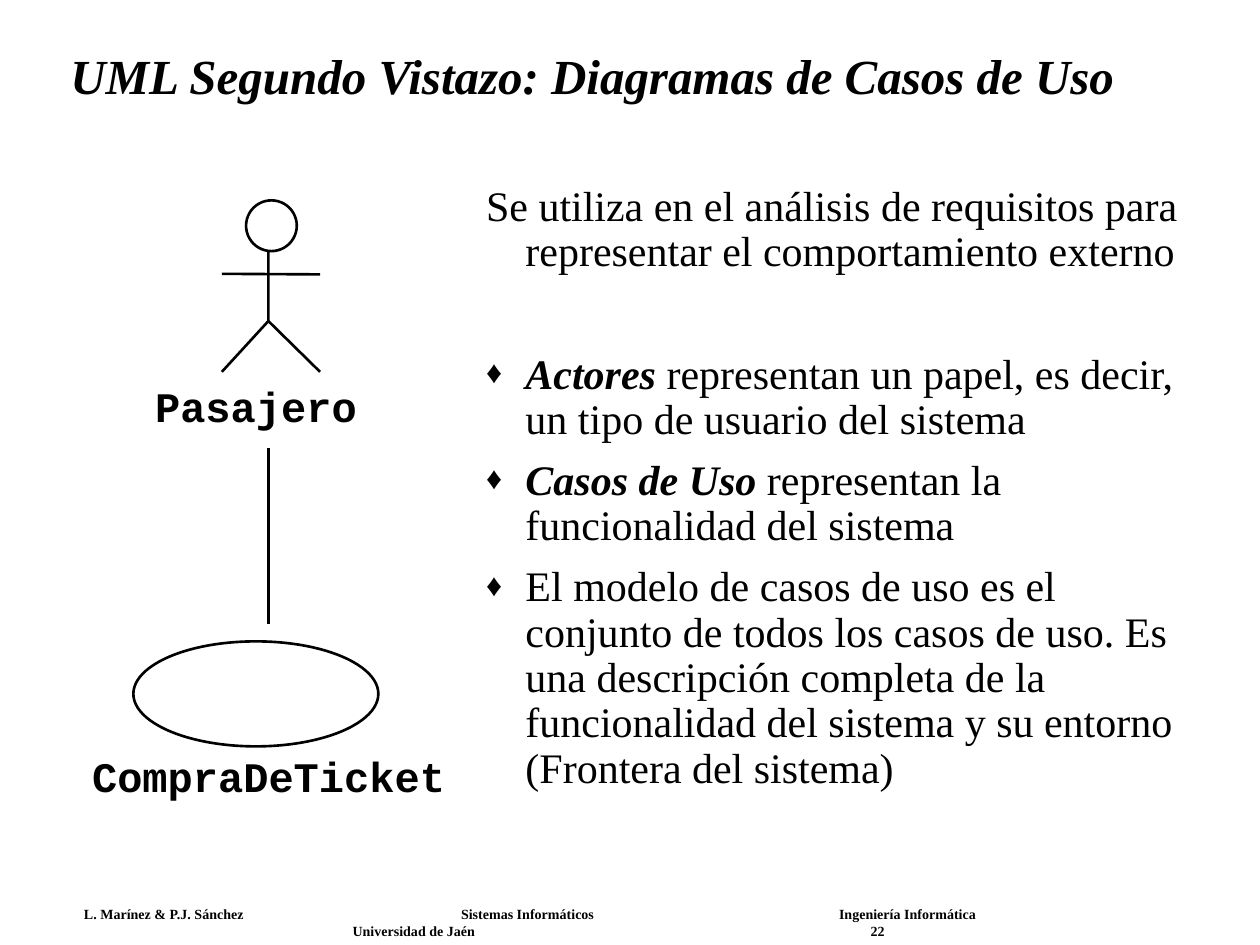
import pptx
import pptx.util
import pptx.dml.color
import pptx.enum.shapes
import pptx.enum.text
from dataclasses import dataclass
from lxml import etree
from pptx.oxml.ns import qn

Pt = pptx.util.Pt


@dataclass(frozen=True)
class Theme:
    ink: str = "000000"
    paper: str = "FFFFFF"
    serif: str = "Times New Roman"
    mono: str = "Courier New"
    title: float = 28
    body: float = 24
    footer: float = 8
    stroke: float = 1.5
    leading: float = 0.9
    label_height: float = 28.8


THEME = Theme()


def color(code):
    return pptx.dml.color.RGBColor.from_string(code)


def add_frame(page, box, insets=(0, 0), wrap=True):
    """Add a text box and return its text frame."""
    frame = page.shapes.add_textbox(*map(Pt, box)).text_frame
    frame.margin_left = frame.margin_right = Pt(insets[0])
    frame.margin_top = frame.margin_bottom = Pt(insets[1])
    frame.word_wrap = wrap
    return frame


def style(para, size, face=THEME.serif, bold=False, italic=False):
    font = para.font
    font.name, font.size, font.bold, font.italic = face, Pt(size), bold, italic
    font.color.rgb = color(THEME.ink)


def add_tabs(para, stops):
    tabs = etree.SubElement(para._p.get_or_add_pPr(), qn("a:tabLst"))
    for stop in stops:
        etree.SubElement(tabs, qn("a:tab"), pos=str(Pt(stop)), algn="l")


def add_hanging_bullet(para, indent, char=None):
    """Set a hanging indent, with a bullet when a character is given."""
    props = para._p.get_or_add_pPr()
    props.set("marL", str(Pt(indent)))
    props.set("indent", str(-Pt(indent)))
    if char is None:
        etree.SubElement(props, qn("a:buNone"))
        return
    tint = etree.SubElement(props, qn("a:buClr"))
    etree.SubElement(tint, qn("a:srgbClr"), val=THEME.ink)
    etree.SubElement(props, qn("a:buSzPct"), val="75000")
    etree.SubElement(props, qn("a:buFont"), typeface=THEME.serif)
    etree.SubElement(props, qn("a:buChar"), char=char)


def draw_stroke(shape):
    shape.line.color.rgb = color(THEME.ink)
    shape.line.width = Pt(THEME.stroke)


def add_line(page, start, end):
    line = page.shapes.add_connector(
        pptx.enum.shapes.MSO_CONNECTOR.STRAIGHT, *map(Pt, start + end))
    draw_stroke(line)
    etree.SubElement(line._element.spPr, qn("a:effectLst"))


def add_ellipse(page, box, fill=None):
    oval = page.shapes.add_shape(
        pptx.enum.shapes.MSO_SHAPE.OVAL, *map(Pt, box))
    oval.shadow.inherit = False
    if fill:
        oval.fill.solid()
        oval.fill.fore_color.rgb = color(fill)
    else:
        oval.fill.background()
    draw_stroke(oval)


def add_label(page, box, text):
    """Name along the bottom of the box."""
    left, top, width, height = box
    label_top = top + height - THEME.label_height
    frame = add_frame(
        page, (left, label_top, width, THEME.label_height), wrap=False)
    para = frame.paragraphs[0]
    para.alignment = pptx.enum.text.PP_ALIGN.LEFT
    para.text = text
    style(para, THEME.body, THEME.mono, bold=True)


def add_title(page, box, text):
    frame = add_frame(page, box, (7.2, 3.6))
    frame.vertical_anchor = pptx.enum.text.MSO_ANCHOR.MIDDLE
    para = frame.paragraphs[0]
    para.text = text
    para.line_spacing = THEME.leading
    style(para, THEME.title, bold=True, italic=True)


def add_body(page, box, intro, points):
    frame = add_frame(page, box, (7.2, 3.6))
    for index, (lead, rest) in enumerate([("", intro)] + points):
        para = frame.paragraphs[0] if index == 0 else frame.add_paragraph()
        add_hanging_bullet(para, 22.5, "♦" if index else None)
        para.line_spacing = THEME.leading
        if index:
            # The list stands one line apart from the introduction
            para.space_before = Pt(44 if index == 1 else 9)
        style(para, THEME.body)
        if lead:
            span = para.add_run()
            span.text = lead
            span.font.bold = span.font.italic = True
        para.add_run().text = rest


def add_actor(page, box, name):
    """Stick figure centred in the box, with its name below."""
    left, top = box[:2]
    neck_x, hip_y, foot_y = left + 64.8, top + 69, top + 98
    hand_left, hand_right = left + 38.2, left + 94.3
    # Trunk and left leg
    builder = page.shapes.build_freeform(Pt(neck_x), Pt(top + 20))
    builder.add_line_segments(
        [(Pt(neck_x), Pt(hip_y)), (Pt(hand_left), Pt(foot_y))], close=False)
    trunk = builder.convert_to_shape()
    trunk.shadow.inherit = False
    trunk.fill.background()
    draw_stroke(trunk)
    # Right leg, arms and head
    add_line(page, (neck_x, hip_y), (hand_right, foot_y))
    add_line(page, (hand_left, top + 42), (hand_right, top + 42.3))
    add_ellipse(page, (left + 52, top, 29, 29), THEME.paper)
    add_label(page, box, name)


def add_use_case(page, box, name):
    """Ellipse with its name below."""
    left, top = box[:2]
    add_ellipse(page, (left + 23.6, top, 140, 60))
    add_label(page, box, name)


def add_footer(page, box, rows):
    frame = add_frame(page, box, (5.76, 2.88), wrap=False)
    for index, (stops, text) in enumerate(rows):
        para = frame.paragraphs[0] if index == 0 else frame.add_paragraph()
        para.alignment = pptx.enum.text.PP_ALIGN.LEFT
        add_tabs(para, stops)
        para.text = text
        style(para, THEME.footer, bold=True)


def main():
    deck = pptx.Presentation()
    deck.slide_width, deck.slide_height = Pt(720), Pt(540)
    page = deck.slides.add_slide(deck.slide_layouts[6])

    add_footer(page, (42.2, 514.8, 622.8, 15.1), [
        ((215.5, 431.5),
         "L. Marínez & P.J. Sánchez\tSistemas Informáticos\tIngeniería Informática"),
        ((153.5, 449.5), "\tUniversidad de Jaén\t22"),
    ])
    add_title(page, (33.1, 17.3, 642.2, 55.4),
              "UML Segundo Vistazo: Diagramas de Casos de Uso")
    add_body(
        page, (270.7, 102.2, 429.1, 387.4),
        "Se utiliza en el análisis de requisitos para representar el "
        "comportamiento externo",
        [("Actores", " representan un papel, es decir, un tipo de usuario del sistema"),
         ("Casos de Uso", " representan la funcionalidad del sistema"),
         ("", "El modelo de casos de uso es el conjunto de todos los casos de "
              "uso. Es una descripción completa de la funcionalidad del sistema "
              "y su entorno (Frontera del sistema)")])

    # Use case diagram
    add_actor(page, (88.6, 114.5, 118, 131.8), "Pasajero")
    add_use_case(page, (52.6, 366.5, 206, 91.4), "CompraDeTicket")
    add_line(page, (153.4, 256.3), (153.4, 356.4))

    deck.save("out.pptx")


if __name__ == "__main__":
    main()
